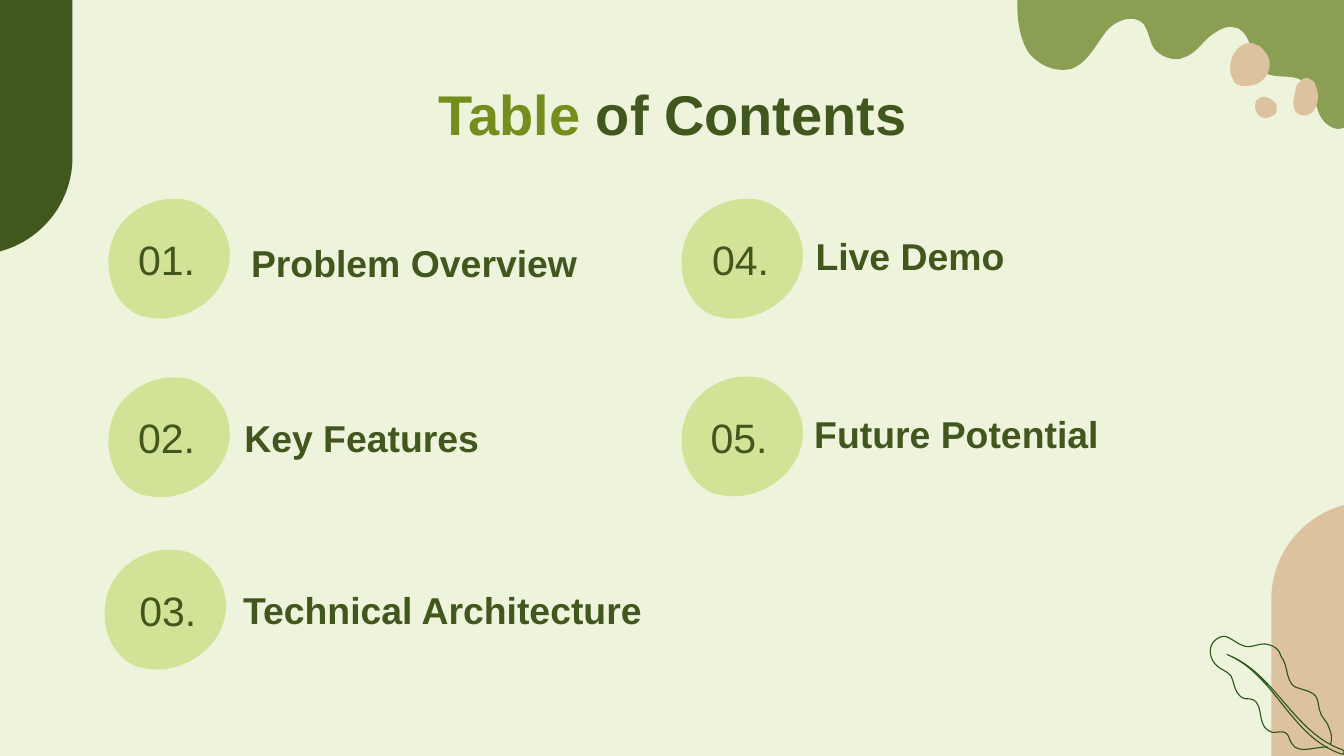
"""Build a table of contents slide with organic blobs and a leaf."""
from pptx import Presentation
from pptx.dml.color import RGBColor
from pptx.enum.shapes import MSO_SHAPE
from pptx.enum.text import MSO_ANCHOR, MSO_AUTO_SIZE, PP_ALIGN
from pptx.oxml.ns import qn
from pptx.util import Pt

COLORS = {"page": "EEF3DB", "dark": "41571E", "olive": "748E1E", "moss": "8A9F53",
          "sand": "DDC29F", "lime": "D2E296", "leaf": "2A5717"}
RGB = {name: RGBColor.from_string(value) for name, value in COLORS.items()}
UNIT = 0.72

SPLAT = """757 4  757 16 759 30 766 40  772 47 781 52 790 52  793 52 797 52 800 50
810 45 815 34 822 25  826 19 834 14 841 14  845 14 848 15 851 18  854 22 855 28 857 33
860 40 868 44 875 44  877 44 879 44 880 43  888 41 893 34 899 28  904 24 910 20 916 20
917 20 919 21 921 21  933 27 930 46 941 54  949 59 961 55 969 60  976 65 978 75 981 83
983 90 990 96 996 96  998 96 999 96 1001 95  1001 0 757 0"""
PEBBLES = [
    """972 58  970 58 968 59 967 61  965 63 964 65 964 67  963 72 961 79 964 83
    966 85 968 86 970 86  971 86 973 86 974 85  977 84 979 81 980 77  981 74 981 70 980 67
    979 65 979 63 978 61  977 60 975 59 973 58""",
    """940 72  930 73 933 88 942 88  944 88 945 87 947 86  948 86 949 85 949 85
    950 83 950 80 950 78  948 75 944 72 940 72""",
    """930 32  925 32 920 36 918 40  915 46 914 53 917 58  918 63 922 64 927 64
    932 64 938 62 941 58  945 53 946 46 943 41  941 38 939 36 937 34  935 34 934 33 932 32"""]
LEAF_EDGE = """990 554  991 550 991 546 989 542  988 537 983 534 982 529
981 526 981 521 979 518  976 515 973 514 969 513  967 512 964 512 962 510
960 508 959 505 958 502  957 497 956 492 953 488  952 484 949 481 945 480
940 478 936 480 931 481  924 482 921 478 915 475  912 473 909 473 906 475
899 479 899 488 904 494  907 498 913 499 916 503  918 507 918 512 921 516
924 520 926 520 930 520  938 521 937 531 939 537  940 541 943 544 947 545
950 545 953 544 956 545  959 546 959 550 961 553  966 562 979 555 988 556"""
LEAF_VEIN = """913 487  949 502 960 548 998 561  1000 562 1001 559 999 558
962 545 949 501 913 487"""
BLOB = """128 148  111 148 94 158 86 173  75 194 81 226 105 235  110 236 114 237 119 237
123 237 126 237 129 236  141 234 153 227 161 217  169 207 173 194 170 181
167 167 156 155 143 150  138 148 134 148 128 148"""


def add_outline(data, fill=None, line=None, closed=True, dx=0, dy=0):
    nums = [float(n) * UNIT for n in data.split()]
    pts = [(Pt(x + dx), Pt(y + dy)) for x, y in zip(nums[::2], nums[1::2])]
    builder = s.shapes.build_freeform(*pts[0], scale=1.0)
    builder.add_line_segments(pts[1:], close=closed)
    sp = builder.convert_to_shape()
    segments = list(sp._element.iter(qn("a:lnTo")))
    for curve, control, end in zip(segments[::3], segments[1::3], segments[2::3]):
        curve.tag = qn("a:cubicBezTo")
        for segment in (control, end):
            curve.append(segment[0])
            segment.getparent().remove(segment)
    style_shape(sp, fill, line)


def style_shape(sp, fill=None, line=None):
    sp.shadow.inherit = False
    if fill:
        sp.fill.solid()
        sp.fill.fore_color.rgb = RGB[fill]
    else:
        sp.fill.background()
    if line:
        sp.line.color.rgb = RGB[line]
        sp.line.width = Pt(0.59)
    else:
        sp.line.fill.background()


prs = Presentation()
prs.slide_width, prs.slide_height = Pt(720), Pt(405)
s = prs.slides.add_slide(prs.slide_layouts[5])
s.background.fill.solid()
s.background.fill.fore_color.rgb = RGB["page"]

for left, top, angle, color in [(-67.9, -1.6, 180, "dark"), (681.1, 268.9, 0, "sand")]:
    sp = s.shapes.add_shape(MSO_SHAPE.ROUND_2_SAME_RECTANGLE,
                            Pt(left), Pt(top), Pt(106.7), Pt(138))
    sp.rotation = angle
    sp.adjustments[0] = 0.49
    style_shape(sp, color)

add_outline(SPLAT, "moss")
for pebble in PEBBLES:
    add_outline(pebble, "sand")
add_outline(LEAF_EDGE, line="leaf", closed=False)
add_outline(LEAF_VEIN, line="leaf")

for dx, dy in [(0, 0), (0, 95.7), (-2, 188), (307, 0), (307, 95.2)]:
    add_outline(BLOB, "lime", dx=dx, dy=dy)

title = s.shapes.title
texts = [(title, (56.9, 35.3, 607, 45.4), [("Table", "olive"), (" of Contents", "dark")],
          MSO_ANCHOR.TOP, PP_ALIGN.CENTER, {"size": Pt(30), "bold": True})]
items = [("01.", (61.9, 118.1), "Problem Overview", (127.4, 118.1)),
         ("02.", (61.9, 213.1), "Key Features", (123.8, 211.7)),
         ("03.", (62.6, 306), "Technical Architecture", (123.1, 303.8)),
         ("04.", (369.4, 118.1), "Live Demo", (429.8, 114.5)),
         ("05.", (368.6, 213.1), "Future Potential", (429.1, 209.5))]
for number, number_at, topic, topic_at in items:
    texts.append((None, (*number_at, 54.7, 41.8), [(number, "dark")],
                  MSO_ANCHOR.MIDDLE, PP_ALIGN.CENTER, {"size": Pt(22), "bold": False}))
    texts.append((None, (*topic_at, 238.3, 41.8), [(topic, "dark")],
                  MSO_ANCHOR.BOTTOM, PP_ALIGN.LEFT, {"size": Pt(20), "bold": True}))

for sp, box, runs, anchor, align, font in texts:
    box = [Pt(v) for v in box]
    sp = sp or s.shapes.add_textbox(*box)
    for name, value in zip(("left", "top", "width", "height"), box):
        setattr(sp, name, value)
    tf = sp.text_frame
    frame = {"word_wrap": True, "auto_size": MSO_AUTO_SIZE.NONE, "vertical_anchor": anchor}
    frame.update({f"margin_{side}": Pt(7.2) for side in ("left", "top", "right", "bottom")})
    for name, value in frame.items():
        setattr(tf, name, value)
    p = tf.paragraphs[0]
    p.alignment = align
    for text, color in runs:
        r = p.add_run()
        r.text = text
        r.font.color.rgb = RGB[color]
        for name, value in {"name": "Arial", **font}.items():
            setattr(r.font, name, value)

prs.save("out.pptx")
